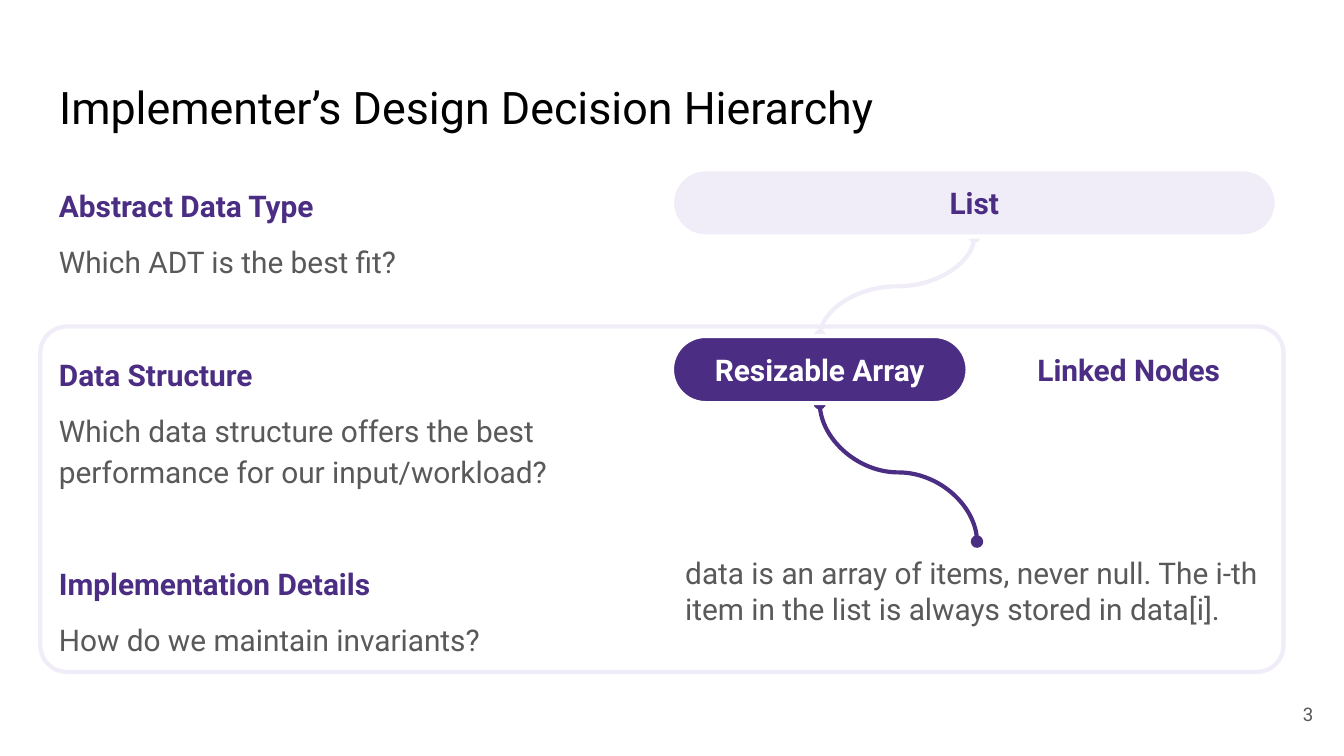
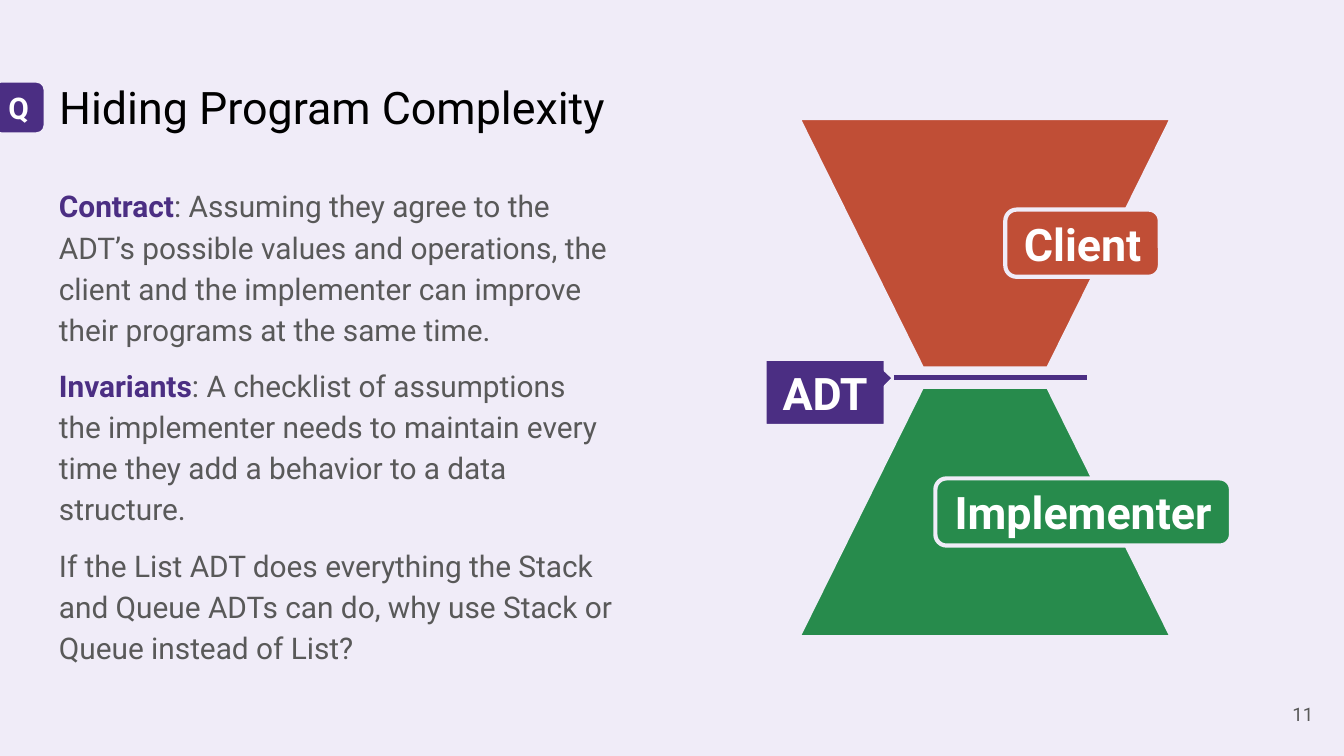
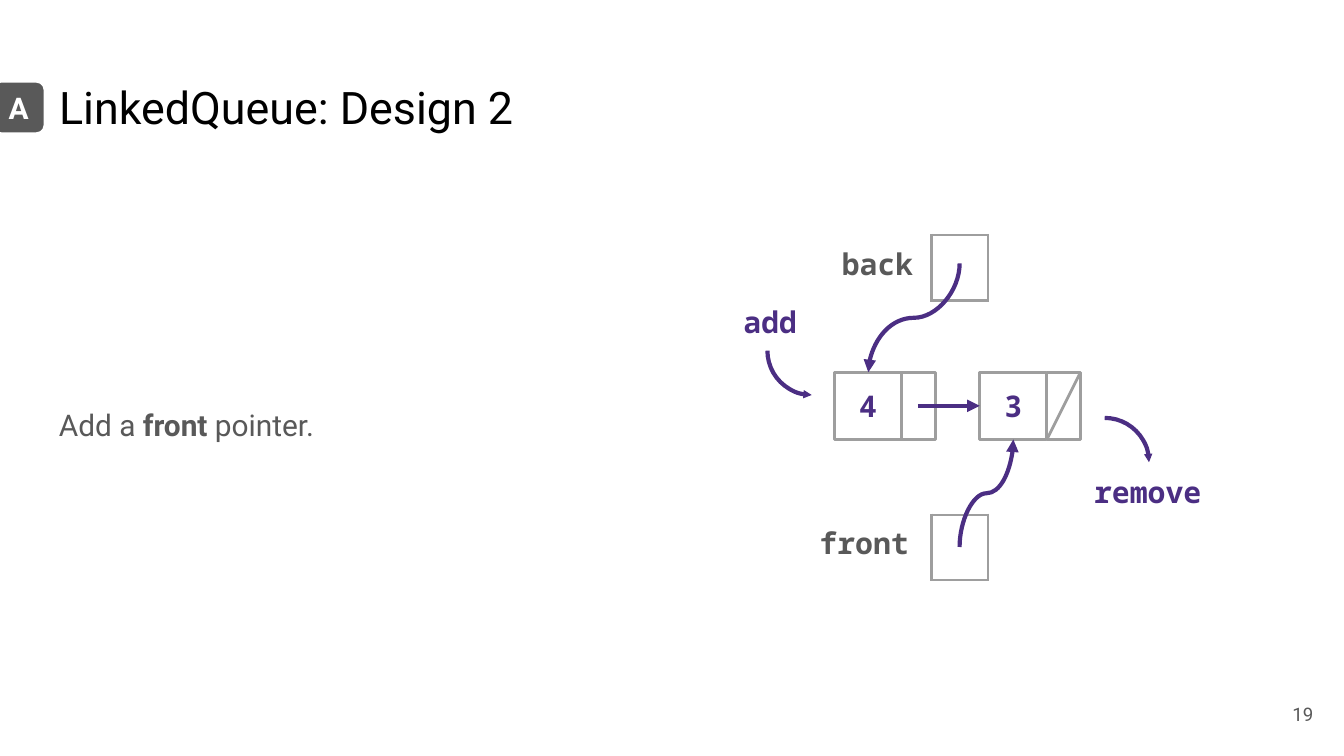
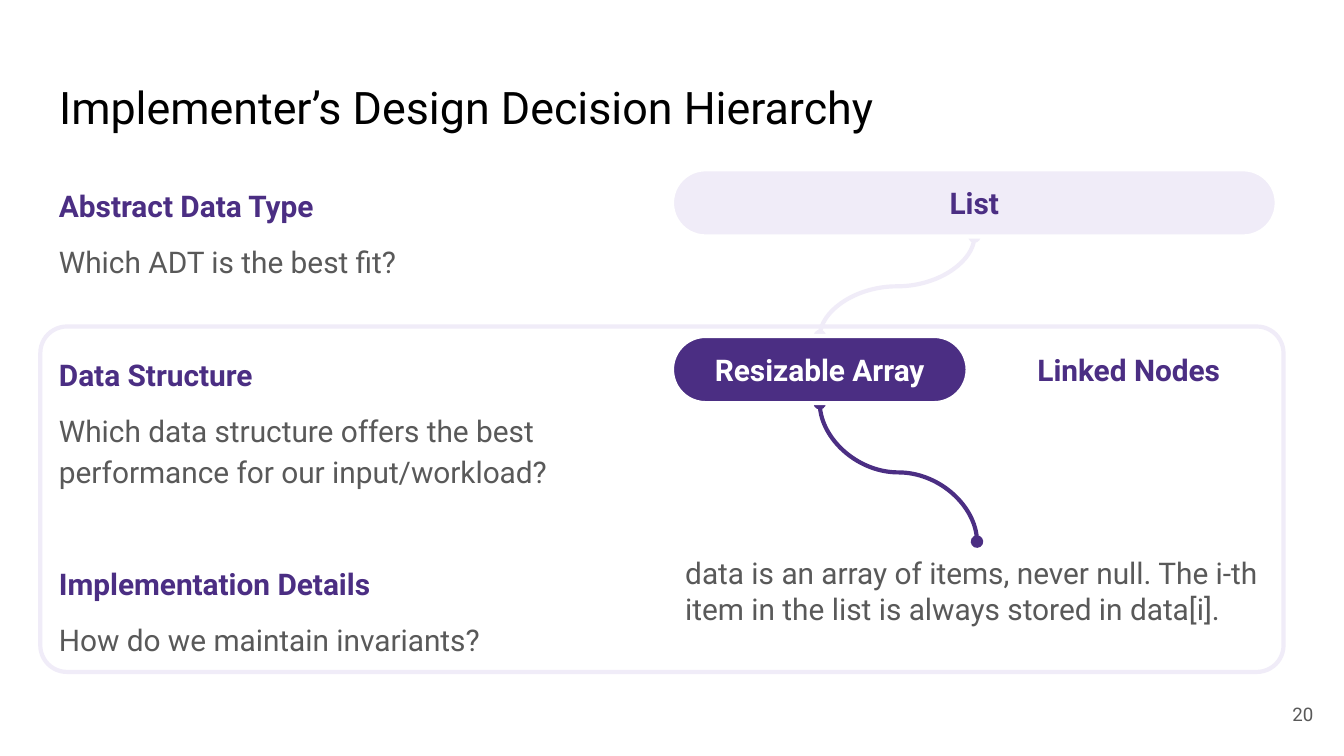
"""Build four lecture slides on abstract data types and linked queues."""
from lxml.etree import SubElement
from pptx import Presentation
from pptx.dml.color import RGBColor
from pptx.enum.shapes import MSO_CONNECTOR as LINK, MSO_SHAPE as SHAPE
from pptx.enum.text import MSO_ANCHOR as ANCHOR, MSO_AUTO_SIZE as AUTO, PP_ALIGN as ALIGN
from pptx.oxml.ns import qn
from pptx.util import Inches, Pt

COLORS = {
    "purple": "4B2E83", "lavender": "F0ECF8", "white": "FFFFFF", "black": "000000",
    "text": "595959", "border": "9E9E9E", "green": "278B4C", "red": "C04E36",
}
SANS, MONO = "Roboto", "Noto Sans Mono"
STYLES = {
    "title": {"name": SANS, "size": Pt(24), "bold": False, "color": "black"},
    "body": {"name": SANS, "size": Pt(16), "bold": False, "color": "text"},
    "strong": {"name": SANS, "size": Pt(16), "bold": True, "color": "text"},
    "heading": {"name": SANS, "size": Pt(16), "bold": True, "color": "purple"},
    "pill": {"name": SANS, "size": Pt(16), "bold": True, "color": "white"},
    "banner": {"name": SANS, "size": Pt(24), "bold": True, "color": "white"},
    "code": {"name": MONO, "size": Pt(16), "bold": True, "color": "purple"},
    "variable": {"name": MONO, "size": Pt(16), "bold": True, "color": "text"},
    "number": {"name": SANS, "size": Pt(10), "bold": False, "color": "text"},
}
BODY_AREA = (0.34, 1.26, 4.32, 3.74)
BODY_GAP, SECTION_GAP = 8, 38
CELL, POINTER = 0.5, 0.42


def rgb(color):
    return RGBColor.from_string(COLORS[color])


def inches(*lengths):
    return [Inches(length) for length in lengths]


def apply(target, values):
    for name, value in values.items():
        setattr(target, name, value)


def write(frame, paragraphs, anchor=ANCHOR.TOP, align=ALIGN.LEFT, wrap=True, top=0.1):
    """Fill a text frame with (space before, line spacing, spans) paragraphs."""
    apply(frame, {
        "word_wrap": wrap, "auto_size": AUTO.NONE, "vertical_anchor": anchor,
        "margin_left": Inches(0.1), "margin_right": Inches(0.1),
        "margin_top": Inches(top), "margin_bottom": Inches(0.1),
    })
    for index, (before, spacing, spans) in enumerate(paragraphs):
        para = frame.add_paragraph() if index else frame.paragraphs[0]
        apply(para, {"alignment": align, "space_before": Pt(before), "line_spacing": spacing})
        for text, style in spans:
            span = para.add_run()
            span.text = text
            values = dict(STYLES[style])
            span.font.color.rgb = rgb(values.pop("color"))
            apply(span.font, values)


def add_text(page, area, text, style, **layout):
    box = page.shapes.add_textbox(*inches(*area))
    write(box.text_frame, [(0, 1.0, [(text, style)])], **layout)


def add_body(page, paragraphs, top=0.1):
    box = page.shapes.add_textbox(*inches(*BODY_AREA))
    write(box.text_frame, [(gap, 1.15, spans) for gap, spans in paragraphs], top=top)


def add_label(page, area, text, style):
    add_text(page, area, text, style, anchor=ANCHOR.MIDDLE, align=ALIGN.CENTER, wrap=False)


def add_page(deck, title, number, title_width=4.32, background="white"):
    page = deck.slides.add_slide(deck.slide_layouts[5])
    page.background.fill.solid()
    page.background.fill.fore_color.rgb = rgb(background)
    heading = page.shapes.title
    left, top, width, height = inches(0.34, 0.49, title_width, 0.63)
    apply(heading, {"left": left, "top": top, "width": width, "height": height})
    write(heading.text_frame, [(0, 1.0, [(title, "title")])])
    add_text(page, (9.27, 5.1, 0.6, 0.43), str(number), "number",
             anchor=ANCHOR.MIDDLE, align=ALIGN.RIGHT)
    return page


def set_line(shape, color, weight):
    shape.line.color.rgb = rgb(color)
    shape.line.width = Pt(weight)


def set_ends(shape, head=None, tail=None, size="med"):
    outline = shape.line._get_or_add_ln()
    for tag, kind in (("a:headEnd", head), ("a:tailEnd", tail)):
        if kind:
            SubElement(outline, qn(tag), {"type": kind, "w": size, "len": size})


def add_shape(shapes, kind, area, fill, line, weight=2.25, adjust=(), text=None, style="pill"):
    shape = shapes.add_shape(kind, *inches(*area))
    shape.shadow.inherit = False
    for index, value in enumerate(adjust):
        shape.adjustments[index] = value
    if fill:
        shape.fill.solid()
        shape.fill.fore_color.rgb = rgb(fill)
    else:
        shape.fill.background()
    set_line(shape, line, weight)
    if text:
        write(shape.text_frame, [(0, 1.0, [(text, style)])], ANCHOR.MIDDLE, ALIGN.CENTER)
    return shape


def flip(shape):
    shape.element.spPr.find(qn("a:xfrm")).set("flipH", "1")


def add_link(shapes, start, end, color="purple", weight=2.25, kind=LINK.STRAIGHT, **ends):
    link = shapes.add_connector(kind, *inches(*start, *end))
    set_line(link, color, weight)
    set_ends(link, **ends)
    SubElement(link.element.spPr, qn("a:effectLst"))
    return link


def add_curve(page, start, end, color="purple", **ends):
    """Draw a curved connector that leaves and arrives vertically."""
    across, down = end[0] - start[0], end[1] - start[1]
    middle_x, middle_y = (start[0] + end[0]) / 2, (start[1] + end[1]) / 2
    reach, rise = abs(down) / 2, abs(across) / 2
    if (across > 0) == (down > 0):
        reach = -reach
    link = add_link(page.shapes, (middle_x - reach, middle_y - rise),
                    (middle_x + reach, middle_y + rise), color, kind=LINK.CURVE, **ends)
    turn = 270 if across > 0 else 90
    link.element.spPr.find(qn("a:xfrm")).set("rot", str(turn * 60000))


def add_badge(page, letter, fill, line):
    add_shape(page.shapes, SHAPE.ROUNDED_RECTANGLE, (-0.06, 0.6, 0.4, 0.4), fill, line,
              adjust=[0.167], text=letter)


def add_arc(page, left, top):
    arc = add_shape(page.shapes, SHAPE.ARC, (left, top, 0.66, 0.66), None, "purple")
    set_ends(arc, tail="triangle", size="sm")
    return arc


def add_node(page, left, top, value, last=False):
    """Draw a list node as a value cell beside a link cell."""
    group = page.shapes.add_group_shape()
    add_shape(group.shapes, SHAPE.RECTANGLE, (left, top, CELL, CELL), "white", "border", 1.5,
              text=value, style="code")
    split, right = left + CELL, left + 1.5 * CELL
    add_shape(group.shapes, SHAPE.RECTANGLE, (split, top, CELL / 2, CELL), "white", "border", 1.5)
    if last:
        add_link(group.shapes, (split, top + CELL), (right, top), "border", 1.5)


def add_pointer(page, left, top):
    """Draw a pointer variable as a bordered one-cell table."""
    table = page.shapes.add_table(1, 1, *inches(left, top, POINTER, POINTER)).table
    cell = table.cell(0, 0)
    apply(cell, {"margin_top": Inches(0.09), "margin_bottom": Inches(0.09)})
    properties = cell._tc.get_or_add_tcPr()
    for side in ("a:lnL", "a:lnR", "a:lnT", "a:lnB"):
        border = SubElement(properties, qn(side), {"w": str(Pt(1.5))})
        SubElement(SubElement(border, qn("a:solidFill")), qn("a:srgbClr"),
                   {"val": COLORS["border"]})
    cell.fill.solid()
    cell.fill.fore_color.rgb = rgb("white")


def build_hierarchy(deck, number):
    page = add_page(deck, "Implementer’s Design Decision Hierarchy", number, title_width=9.21)
    add_shape(page.shapes, SHAPE.ROUNDED_RECTANGLE, (0.3, 2.43, 9.25, 2.57), "white", "lavender",
              adjust=[0.077])
    add_curve(page, (7.27, 4.03), (6.1, 3), head="oval", tail="oval")
    add_curve(page, (6.1, 2.5), (7.25, 1.76), "lavender", head="oval", tail="oval")
    questions = [
        ("Abstract Data Type", "Which ADT is the best fit?"),
        ("Data Structure",
         "Which data structure offers the best performance for our input/workload?"),
        ("Implementation Details", "How do we maintain invariants?"),
    ]
    paragraphs = []
    for heading, question in questions:
        paragraphs.append((SECTION_GAP if paragraphs else 0, [(heading, "heading")]))
        paragraphs.append((BODY_GAP, [(question, "body")]))
    add_body(page, paragraphs)
    choices = [
        (5, 1.26, 4.5, "List", "lavender", "heading"),
        (5, 2.5, 2.2, "Resizable Array", "purple", "pill"),
        (7.3, 2.5, 2.2, "Linked Nodes", "white", "heading"),
    ]
    for left, top, width, text, fill, style in choices:
        add_shape(page.shapes, SHAPE.ROUNDED_RECTANGLE, (left, top, width, 0.5), fill, "white",
                  adjust=[0.5], text=text, style=style)
    add_text(page, (5, 4.03, 4.55, 1), "data is an array of items, never null. "
             "The i-th item in the list is always stored in data[i].", "body")


def build_complexity(deck):
    page = add_page(deck, "Hiding Program Complexity", 11, background="lavender")
    add_body(page, [
        (0, [("Contract", "heading"),
             (": Assuming they agree to the ADT’s possible values and operations, the client "
              "and the implementer can improve their programs at the same time.", "body")]),
        (BODY_GAP, [("Invariants", "heading"),
                    (": A checklist of assumptions the implementer needs to maintain every "
                     "time they add a behavior to a data structure.", "body")]),
        (BODY_GAP, [("If the List ADT does everything the Stack and Queue ADTs can do, "
                     "why use Stack or Queue instead of List?", "body")]),
    ])
    add_badge(page, "Q", "purple", "lavender")
    for top, fill, rotation in ((2.81, "green", 0), (0.81, "red", 180)):
        half = add_shape(page.shapes, SHAPE.TRAPEZOID, (5.83, top, 3, 2), fill, "lavender", 12,
                         adjust=[0.495])
        half.rotation = rotation
    roles = [(6.96, 3.56, 2.2, "Implementer", "green"), (7.48, 1.56, 1.15, "Client", "red")]
    for left, top, width, text, fill in roles:
        add_shape(page.shapes, SHAPE.ROUNDED_RECTANGLE, (left, top, width, 0.5), fill, "lavender",
                  adjust=[0.167], text=text, style="banner")
    callout = add_shape(page.shapes, SHAPE.ROUNDED_RECTANGULAR_CALLOUT, (5.69, 2.67, 0.9, 0.5),
                        "purple", "lavender", adjust=[-0.572, -0.213, 0],
                        text="ADT", style="banner")
    flip(callout)
    add_link(page.shapes, (6.65, 2.81), (8.09, 2.81), weight=3)


def build_queue(deck):
    page = add_page(deck, "LinkedQueue: Design 2", 19)
    add_label(page, (5.33, 2.17, 0.8, 0.44), "add", "code")
    add_label(page, (8.04, 3.44, 1, 0.44), "remove", "code")
    add_arrow = add_arc(page, 5.71, 2.28)
    add_arrow.rotation = 270
    flip(add_arrow)
    add_arc(page, 7.89, 3.11)
    for left, top, width, name in ((6.13, 1.75, 0.8, "back"), (5.93, 3.83, 1, "front")):
        add_label(page, (left, top, width, POINTER), name, "variable")
        add_pointer(page, left + width, top)
    add_node(page, 7.29, 2.77, "3", last=True)
    add_node(page, 6.21, 2.77, "4")
    add_curve(page, (7.14, 1.96), (6.46, 2.77), tail="triangle")
    add_link(page.shapes, (6.83, 3.02), (7.29, 3.02), tail="triangle")
    add_curve(page, (7.14, 4.07), (7.54, 3.27), tail="triangle")
    add_body(page, [(0, [("Add a ", "body"), ("front", "strong"), (" pointer.", "body")])],
             top=1.73)
    add_badge(page, "A", "text", "white")


def main():
    deck = Presentation()
    deck.slide_width = Inches(10)
    deck.slide_height = deck.slide_width * 9 // 16
    build_hierarchy(deck, 3)
    build_complexity(deck)
    build_queue(deck)
    build_hierarchy(deck, 20)
    deck.save("out.pptx")


if __name__ == "__main__":
    main()
